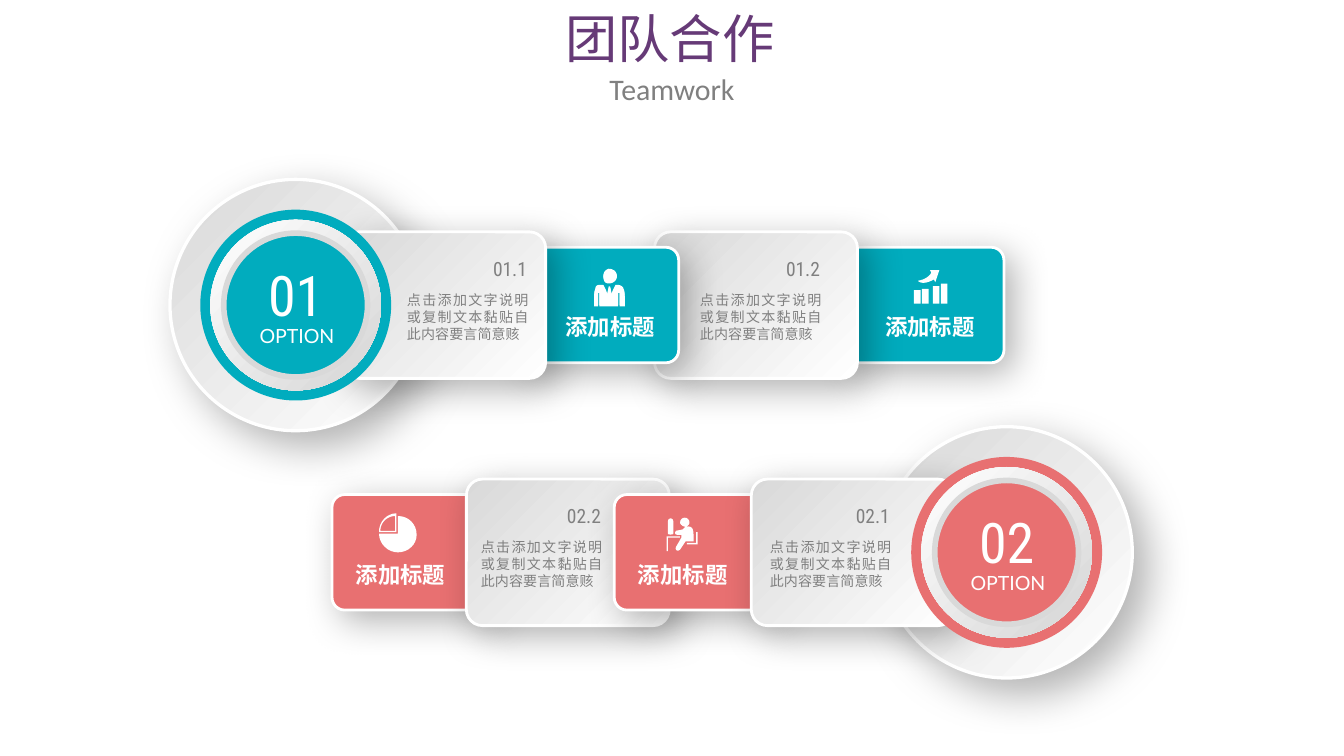
from lxml import etree
from pptx import Presentation
from pptx.dml.color import RGBColor
from pptx.enum.shapes import MSO_SHAPE
from pptx.enum.text import MSO_AUTO_SIZE, PP_ALIGN
from pptx.oxml.ns import qn
from pptx.util import Inches, Pt

WHITE = RGBColor(0xFF, 0xFF, 0xFF)
SILVER = RGBColor(0xD9, 0xD9, 0xD9)
PALE = RGBColor(0xD5, 0xD5, 0xD5)
GRAY = RGBColor(0x80, 0x80, 0x80)
PURPLE = RGBColor(0x66, 0x3A, 0x77)
TEAL = RGBColor(0x01, 0xAC, 0xBE)
CORAL = RGBColor(0xE8, 0x70, 0x71)

CJK = "Noto Sans CJK SC"
CONDENSED = "Roboto Condensed"
LABEL = "添加标题"
BODY = "点击添加文字说明或复制文本黏贴自此内容要言简意赅"

# Icon parts: (preset, left, top, width, height) or a list of contours.
# A contour holds (x, y) corners and six-number cubic curves, in inches.
PERSON = [
    [[(4.53, 2.11), (4.56, 2.11, 4.59, 2.09, 4.59, 2.06), (4.59, 2.03, 4.56, 2.01, 4.53, 2.01),
      (4.5, 2.02, 4.49, 2.04, 4.49, 2.06), (4.49, 2.09, 4.5, 2.11, 4.53, 2.11)]],
    [[(4.64, 2.16), (4.64, 2.14, 4.61, 2.13, 4.6, 2.13), (4.58, 2.13),
      (4.56, 2.17), (4.54, 2.23), (4.55, 2.19), (4.54, 2.14), (4.53, 2.14),
      (4.52, 2.19), (4.53, 2.23), (4.51, 2.17), (4.49, 2.13), (4.46, 2.13),
      (4.44, 2.13, 4.43, 2.14, 4.43, 2.16), (4.42, 2.17, 4.42, 2.23, 4.42, 2.28),
      (4.45, 2.28), (4.45, 2.18), (4.46, 2.18), (4.46, 2.28), (4.6, 2.28),
      (4.6, 2.18), (4.61, 2.18), (4.61, 2.28), (4.65, 2.28),
      (4.65, 2.23, 4.65, 2.17, 4.64, 2.16)]],
]
GROWTH = [
    (MSO_SHAPE.RECTANGLE, 6.8, 2.16, 0.05, 0.1),
    (MSO_SHAPE.RECTANGLE, 6.86, 2.15, 0.05, 0.11),
    (MSO_SHAPE.RECTANGLE, 6.94, 2.13, 0.05, 0.13),
    (MSO_SHAPE.RECTANGLE, 7, 2.11, 0.05, 0.15),
    [[(6.93, 2.03), (6.92, 2.05, 6.89, 2.08, 6.83, 2.09),
      (6.83, 2.09, 6.86, 2.13, 6.95, 2.08), (6.96, 2.1), (6.99, 2.01), (6.92, 2.01)]],
]
PIE = [
    [[(2.82, 3.97), (2.82, 4.05, 2.89, 4.11, 2.96, 4.11), (3.04, 4.11, 3.1, 4.05, 3.1, 3.98),
      (3.1, 3.9, 3.04, 3.84, 2.96, 3.84), (2.96, 3.97)]],
    [[(2.82, 3.96), (2.95, 3.96), (2.95, 3.82), (2.88, 3.82, 2.82, 3.88, 2.82, 3.96)],
     [(2.83, 3.95), (2.83, 3.89, 2.88, 3.84, 2.94, 3.84), (2.94, 3.95)]],
]
DESK = [
    [[(4.96, 3.99), (5.06, 3.99), (5.06, 4), (4.97, 4), (4.97, 4.1), (4.96, 4.1)]],
    [[(5.01, 3.97), (5.01, 3.88), (5.01, 3.85, 4.97, 3.85, 4.97, 3.88), (4.97, 3.97),
      (4.97, 3.98, 5.01, 3.98, 5.01, 3.97)]],
    [[(5.03, 4.07), (5.02, 4.09, 5.04, 4.11, 5.06, 4.09), (5.1, 4.03), (5.16, 4.03),
      (5.16, 3.98), (5.16, 3.94, 5.15, 3.91, 5.11, 3.92),
      (5.12, 3.91, 5.13, 3.9, 5.13, 3.89), (5.13, 3.84, 5.06, 3.84, 5.06, 3.89),
      (5.06, 3.9, 5.08, 3.92, 5.1, 3.92), (5.1, 3.92, 5.09, 3.93, 5.08, 3.94),
      (5.03, 3.95), (5.02, 3.96, 5.02, 3.98, 5.04, 3.98), (5.07, 3.98), (5.07, 4)]],
    [[(5.11, 4.04), (5.18, 4.04), (5.18, 3.96), (5.19, 3.96), (5.19, 4.05), (5.11, 4.05)]],
]

# Sections run from the far end towards the disc:
# tab left, card left, body left, code, label left, icon, vertical shifts of the icon
OPTIONS = [
    ("01", TEAL, 2.2, 2.27, [
        (6.28, 4.87, 5.11, "01.2", 6.44, GROWTH, [0]),
        (3.86, 2.55, 2.93, "01.1", 4.06, PERSON, [0, -0.01])]),
    ("02", CORAL, 7.49, 4.11, [
        (2.47, 3.47, 3.48, "02.2", 2.5, PIE, [0]),
        (4.57, 5.59, 5.63, "02.1", 4.6, DESK, [0])]),
]

deck = Presentation()
deck.slide_width = Inches(10)
deck.slide_height = deck.slide_width * 9 // 16
page = deck.slides.add_slide(deck.slide_layouts[6])


def paint(shape, fill, line=None, width=0, shadow=None):
    """Fill with a colour or a (start, end) diagonal gradient; shadow is (blur, distance)."""
    shape.shadow.inherit = False
    if isinstance(fill, RGBColor):
        shape.fill.solid()
        shape.fill.fore_color.rgb = fill
    else:
        shape.fill.gradient()
        shape.fill.gradient_angle = 315
        for stop, colour in zip(shape.fill.gradient_stops, fill):
            stop.color.rgb = colour
    if line is None:
        shape.line.fill.background()
    else:
        shape.line.color.rgb = line
        shape.line.width = Pt(width)
    if shadow:
        effects = shape.element.spPr.find(qn("a:effectLst"))
        outer = etree.SubElement(effects, qn("a:outerShdw"), blurRad=str(Pt(shadow[0])),
                                 dist=str(Pt(shadow[1])), dir="2700000",
                                 algn="tl", rotWithShape="0")
        black = etree.SubElement(outer, qn("a:srgbClr"), val="000000")
        etree.SubElement(black, qn("a:alpha"), val="30000")


def add_preset(kind, left, top, width, height, *style):
    shape = page.shapes.add_shape(kind, Inches(left), Inches(top), Inches(width), Inches(height))
    paint(shape, *style)
    return shape


def add_panel(left, middle, width, height, fill):
    panel = add_preset(MSO_SHAPE.ROUNDED_RECTANGLE, left, middle - height / 2, width, height,
                       fill, WHITE, 1.5, (20, 7))
    panel.adjustments[0] = 0.11


def add_disc(x, y, size, *style):
    add_preset(MSO_SHAPE.OVAL, x - size / 2, y - size / 2, size, size, *style)


def add_text(text, left, top, width, height, size, font, colour,
             align=PP_ALIGN.CENTER, bold=False, spacing=None, wrap=True):
    box = page.shapes.add_textbox(Inches(left), Inches(top), Inches(width), Inches(height))
    box.text_frame.word_wrap = wrap
    box.text_frame.auto_size = MSO_AUTO_SIZE.SHAPE_TO_FIT_TEXT
    para = box.text_frame.paragraphs[0]
    para.alignment = align
    if spacing:
        para.line_spacing = Pt(spacing)
    span = para.add_run()
    span.text = text
    span.font.size, span.font.bold, span.font.name = Pt(size), bold, font
    span.font.color.rgb = colour
    etree.SubElement(span.font._element, qn("a:ea"), typeface=font)


def flatten(contour, shift, steps=8):
    """Turn corners and cubic curves into points."""
    points = []
    for item in contour:
        if len(item) == 2:
            points.append(item)
            continue
        corners = [points[-1], item[:2], item[2:4], item[4:]]
        for step in range(1, steps + 1):
            t = step / steps
            weights = ((1 - t) ** 3, 3 * t * (1 - t) ** 2, 3 * t * t * (1 - t), t ** 3)
            points.append(tuple(sum(w * c[axis] for w, c in zip(weights, corners))
                                for axis in (0, 1)))
    return [(Inches(x), Inches(y + shift)) for x, y in points]


def add_icon(parts, shift):
    for part in parts:
        if isinstance(part, tuple):
            kind, left, top, width, height = part
            add_preset(kind, left, top + shift, width, height, WHITE)
            continue
        first, *others = [flatten(contour, shift) for contour in part]
        builder = page.shapes.build_freeform(*first[0])
        builder.add_line_segments(first[1:], close=True)
        for points in others:
            builder.move_to(*points[0])
            builder.add_line_segments(points[1:], close=True)
        paint(builder.convert_to_shape(), WHITE)


add_text("团队合作", 4.1, 0, 1.77, 0.57, 28, "Calibri", PURPLE, wrap=False)
add_text("Teamwork", 3.74, 0.48, 2.52, 0.37, 16, "Calibri", GRAY)

for number, colour, x, y, sections in OPTIONS:
    for section in sections:
        tab_left, card_left = section[:2]
        add_panel(tab_left, y, 1.19, 0.86, colour)
        if section is sections[-1]:
            add_disc(x, y, 1.87, (SILVER, WHITE), WHITE, 1.75, (23, 11))
        add_panel(card_left, y, 1.51, 1.09, (SILVER, WHITE))
    add_disc(x, y, 1.42, colour)
    add_disc(x, y, 1.27, (WHITE, PALE))
    add_disc(x, y, 1.07, colour, SILVER, 3)
    add_text(number, x - 0.49, y - 0.38, 0.98, 0.61, 30, CONDENSED, WHITE)
    add_text("OPTION", x - 0.48, y + 0.09, 0.98, 0.28, 10.5, "Lato", WHITE)
    for _, _, body_left, code, label_left, icon, shifts in sections:
        add_text(BODY, body_left, y - 0.15, 1.1, 0.48, 7.5, CJK, GRAY,
                 PP_ALIGN.JUSTIFY, spacing=9.1)
        add_text(code, body_left + 0.29, y - 0.41, 0.8, 0.28, 10.5, CONDENSED, GRAY,
                 PP_ALIGN.RIGHT)
        for shift in shifts:
            add_icon(icon, shift)
        add_text(LABEL, label_left, y + 0.01, 0.96, 0.3, 12, CJK, WHITE, bold=True, spacing=14.6)

deck.save("out.pptx")
